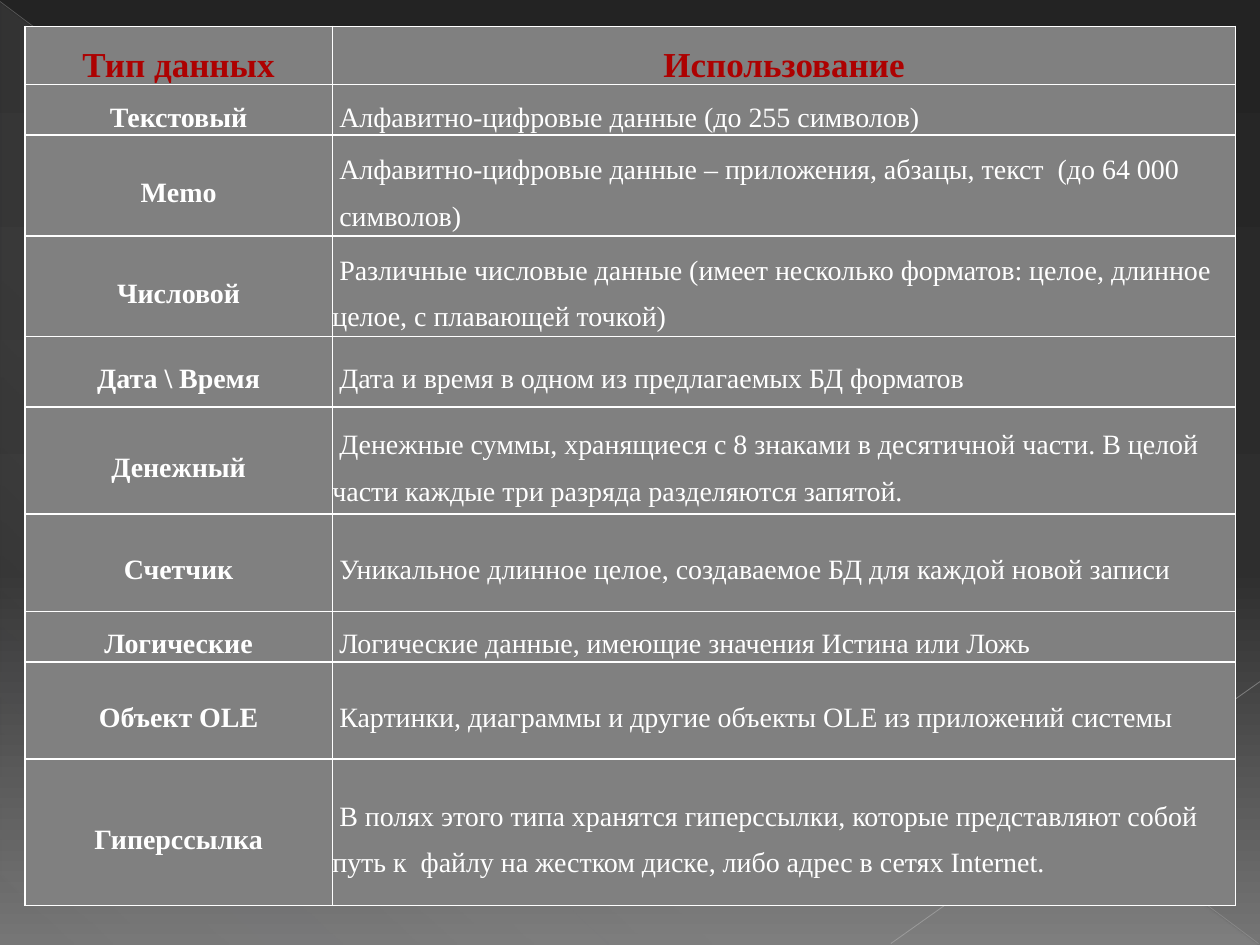
from lxml.etree import SubElement
from pptx import Presentation
from pptx.dml.color import RGBColor
from pptx.enum.shapes import MSO_CONNECTOR as Connector, MSO_SHAPE as Shape
from pptx.enum.text import MSO_ANCHOR as Anchor, PP_ALIGN as Align
from pptx.oxml.ns import qn
from pptx.util import Cm, Pt

WHITE = RGBColor(0xFF, 0xFF, 0xFF)
RED = RGBColor(0xAD, 0x01, 0x01)
GREY = RGBColor(0x80, 0x80, 0x80)
SILVER = RGBColor(0xDE, 0xDE, 0xE0)
UPPER_LINE = RGBColor(0xB6, 0xB6, 0xB6)
LOWER_LINE = RGBColor(0xBE, 0xBE, 0xBE)
NIGHT = RGBColor(0x23, 0x23, 0x23)
DUSK = RGBColor(0x2E, 0x2E, 0x2E)
DAWN = RGBColor(0x75, 0x75, 0x75)

FONT = "Times New Roman"
SPACE = Cm(0.14)
HEADER = {"size": Pt(20), "bold": True, "color": RED}
TYPE = {"size": Pt(16), "bold": True, "color": WHITE}
USAGE = {"size": Pt(16), "bold": False, "color": WHITE}
CELL_FORMAT = {
    "vertical_anchor": Anchor.MIDDLE,
    "margin_left": 0, "margin_right": 0, "margin_top": 0, "margin_bottom": 0,
}

COLUMN_WIDTHS = (6.2, 18.21)
HEADER_HEIGHT = 1.12
DATA_TYPES = [
    (1.02, "Текстовый", "Алфавитно-цифровые данные (до 255 символов)"),
    (2.03, "Memo", "Алфавитно-цифровые данные – приложения, абзацы, текст  "
                   "(до 64\u00a0000 символов)"),
    (2.03, "Числовой", "Различные числовые данные (имеет несколько форматов: "
                       "целое, длинное целое, с плавающей точкой)"),
    (1.42, "Дата\u00a0\\\u00a0Время",
     "Дата и время в одном из предлагаемых БД форматов"),
    (2.16, "Денежный", "Денежные суммы, хранящиеся с 8 знаками в десятичной "
                       "части. В целой части каждые три разряда разделяются запятой."),
    (1.96, "Счетчик",
     "Уникальное длинное целое, создаваемое БД для каждой новой записи"),
    (1.02, "Логические", "Логические данные, имеющие значения Истина или Ложь"),
    (1.96, "Объект OLE",
     "Картинки, диаграммы и другие объекты OLE из приложений системы"),
    (2.95, "Гиперссылка", "В полях этого типа хранятся гиперссылки, которые "
                          "представляют собой путь к  файлу на жестком диске, "
                          "либо адрес в сетях Internet."),
]


def add_color(parent, color, opacity=100):
    node = SubElement(parent, qn("a:srgbClr"), val=str(color))
    if opacity < 100:
        SubElement(node, qn("a:alpha"), val=str(opacity * 1000))


def paint_gradient(owner, fill, stops, angle):
    fill.gradient()
    gradient = next(owner.iter(qn("a:gradFill")))
    stop_list = gradient.find(qn("a:gsLst"))
    for stop in list(stop_list):
        stop_list.remove(stop)
    for position, color, opacity in stops:
        stop = SubElement(stop_list, qn("a:gs"), pos=str(position * 1000))
        add_color(stop, color, opacity)
    gradient.find(qn("a:lin")).set("ang", str(angle * 60000))


def add_ray(slide, start, end, color, width, opacity):
    ray = slide.shapes.add_connector(
        Connector.STRAIGHT, *(Cm(value) for value in start + end))
    ray.line.width = Pt(width)
    ray.line.color.rgb = color
    SubElement(next(ray._element.iter(qn("a:srgbClr"))), qn("a:alpha"),
               val=str(opacity * 1000))
    SubElement(ray._element.spPr, qn("a:effectLst"))


def draw_backdrop(slide, width, height):
    paint_gradient(slide._element, slide.background.fill,
                   [(0, NIGHT, 100), (60, DUSK, 100), (100, DAWN, 100)], 90)
    corner = slide.shapes.add_shape(
        Shape.RIGHT_TRIANGLE, Cm(0.02), Cm(0.05), Cm(width - 0.05), Cm(height - 0.05))
    corner.shadow.inherit = False
    corner.line.fill.background()
    paint_gradient(corner._element, corner.fill,
                   [(0, SILVER, 10), (70, SILVER, 8), (100, SILVER, 1)], 133)
    add_ray(slide, (0, 0.03), (width - 0.03, height - 0.03), UPPER_LINE, 0.39, 35)
    add_ray(slide, (width, 13.74), (width - 7.44, height - 0.03), LOWER_LINE, 0.47, 45)


def add_borders(cell):
    properties = cell._tc.get_or_add_tcPr()
    for side in ("a:lnL", "a:lnR", "a:lnT", "a:lnB"):
        border = SubElement(properties, qn(side), w=str(Pt(1)))
        add_color(SubElement(border, qn("a:solidFill")), WHITE)


def fill_cell(cell, text, style, align, margin=0, indent=0):
    add_borders(cell)
    for name, value in CELL_FORMAT.items():
        setattr(cell, name, value)
    cell.fill.solid()
    cell.fill.fore_color.rgb = GREY
    paragraph = cell.text_frame.paragraphs[0]
    paragraph.alignment = align
    paragraph.line_spacing = 1.5
    properties = paragraph._p.get_or_add_pPr()
    properties.set("marL", str(margin))
    properties.set("indent", str(indent))
    wording = paragraph.add_run()
    wording.text = text
    for name, value in {"name": FONT, "size": style["size"], "bold": style["bold"]}.items():
        setattr(wording.font, name, value)
    wording.font.color.rgb = style["color"]


def draw_data_types(slide, left, top):
    heights = [HEADER_HEIGHT] + [height for height, _, _ in DATA_TYPES]
    table = slide.shapes.add_table(
        len(heights), len(COLUMN_WIDTHS), Cm(left), Cm(top),
        Cm(sum(COLUMN_WIDTHS)), Cm(sum(heights))).table
    table.first_row = table.horz_banding = False
    for column, width in zip(table.columns, COLUMN_WIDTHS):
        column.width = Cm(width)
    for row, height in zip(table.rows, heights):
        row.height = Cm(height)
    for column, heading in enumerate(("Тип данных", "Использование")):
        fill_cell(table.cell(0, column), heading, HEADER, Align.CENTER)
    for row, (_, data_type, usage) in enumerate(DATA_TYPES, 1):
        fill_cell(table.cell(row, 0), data_type, TYPE, Align.CENTER)
        hanging = data_type == "Memo"
        fill_cell(table.cell(row, 1), usage, USAGE, Align.LEFT,
                  SPACE if hanging else 0, 0 if hanging else SPACE)


def main():
    deck = Presentation()
    deck.slide_width, deck.slide_height = Cm(25.4), Cm(19.05)
    slide = deck.slides.add_slide(deck.slide_layouts[6])
    draw_backdrop(slide, 25.4, 19.05)
    draw_data_types(slide, 0.5, 0.53)
    deck.save("out.pptx")


main()
